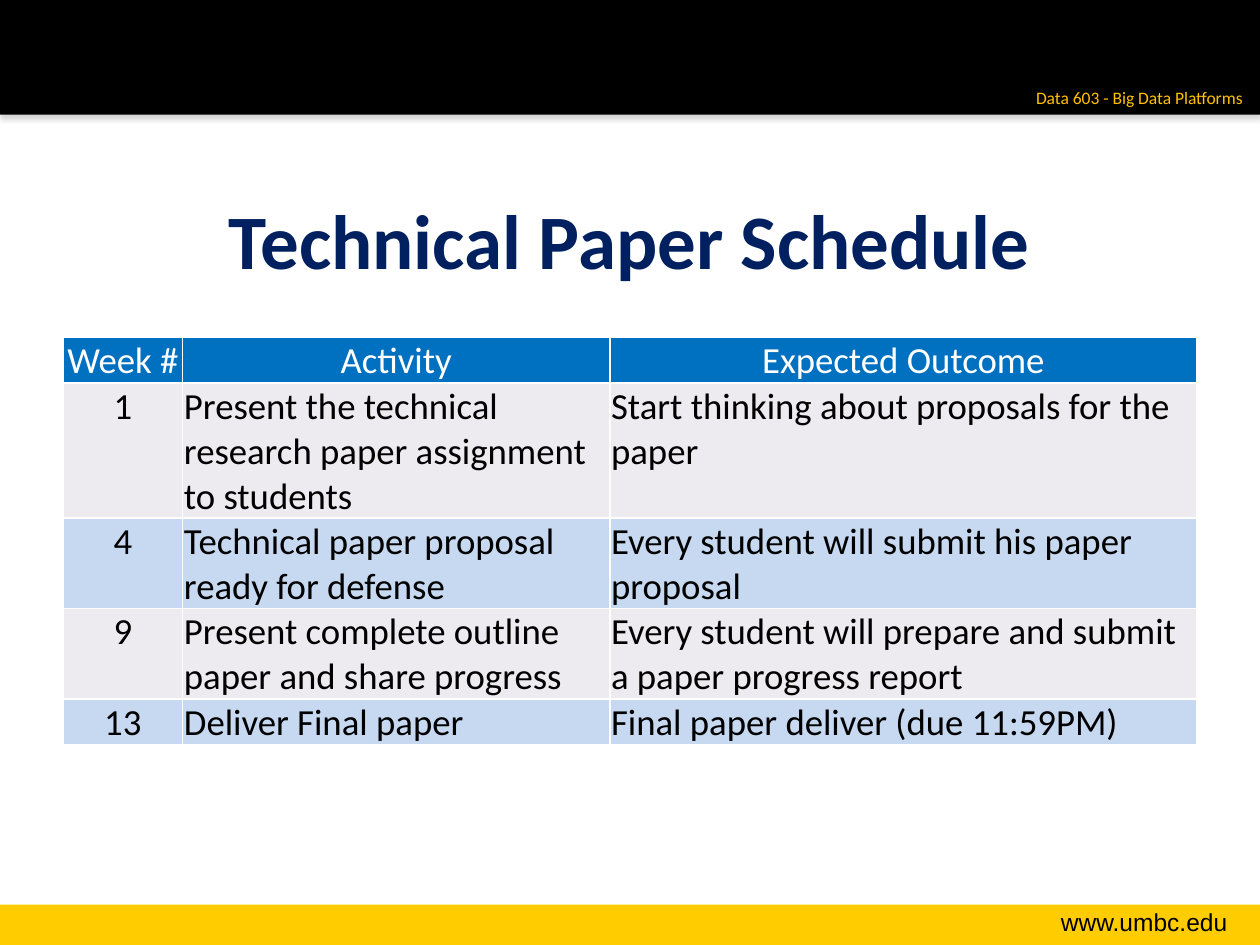
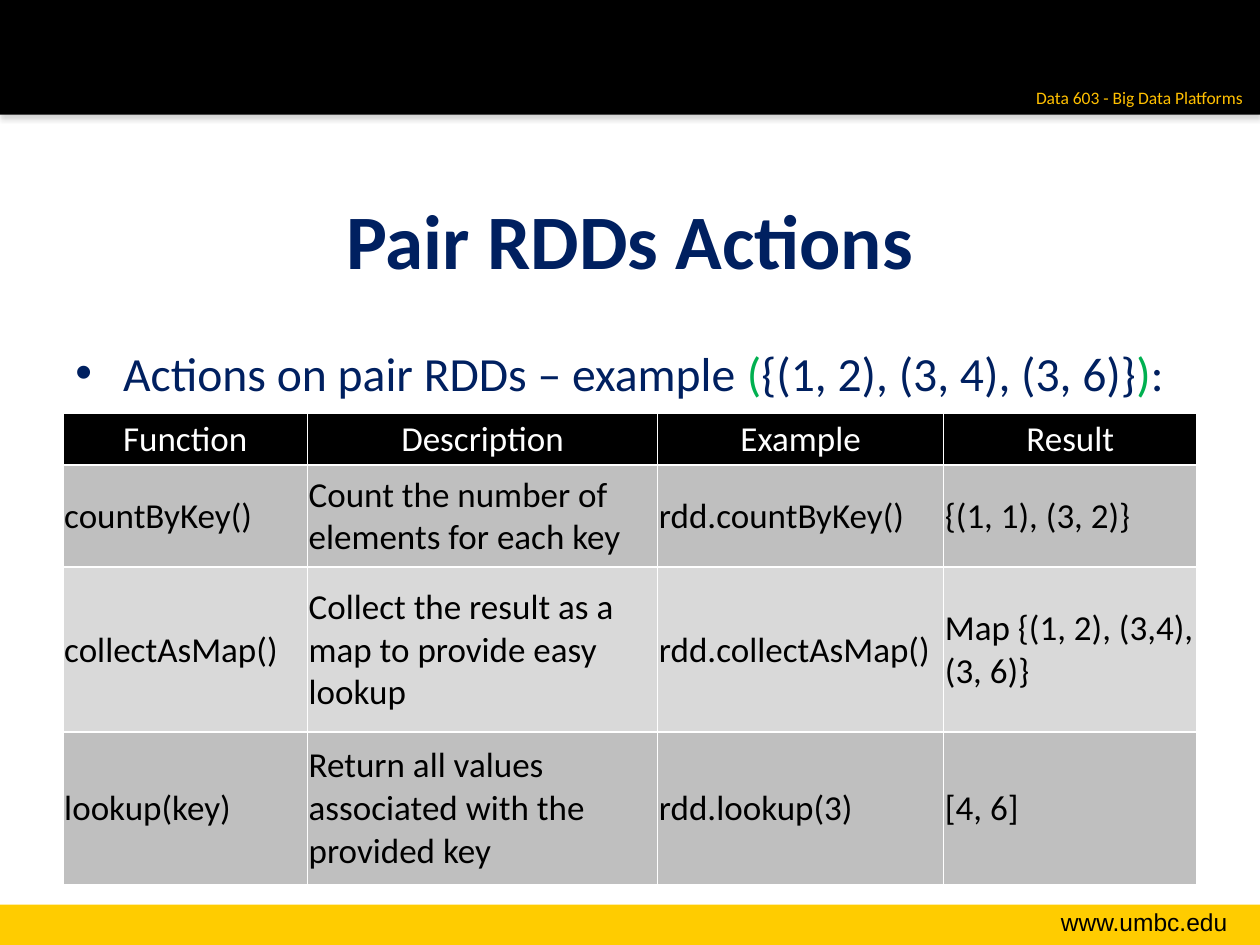
import pptx
import pptx.chart.data
import pptx.dml.color
import pptx.enum.shapes
import pptx.enum.text
import pptx.oxml
import pptx.oxml.ns
import pptx.util
from pptx.util import Inches

COLOURS = {
    "black": "000000",
    "white": "FFFFFF",
    "gold": "FFCC00",
    "amber": "FFC000",
    "navy": "002060",
    "green": "00B050",
    "blue": "0070C0",
    "lilac": "EDEAF0",
    "sky": "C6D9F1",
    "grey": "BFBFBF",
    "silver": "D9D9D9",
}
FONT = "Calibri"
MARGIN = 0.5
CONTENT_WIDTH = 9
TITLE_ONLY = 5
ALIGN = pptx.enum.text.PP_ALIGN
ANCHOR = pptx.enum.text.MSO_ANCHOR
AUTO_SIZE = pptx.enum.text.MSO_AUTO_SIZE

SCHEDULE = [
    ("Week #", "Activity", "Expected Outcome"),
    ("1", "Present the technical research paper assignment to students",
     "Start thinking about proposals for the paper"),
    ("4", "Technical paper proposal ready for defense",
     "Every student will submit his paper proposal"),
    ("9", "Present complete outline paper and share progress",
     "Every student will prepare and submit a paper progress report"),
    ("13", "Deliver Final paper", "Final paper deliver (due 11:59PM)"),
]
ACTIONS = [
    ("Function", "Description", "Example", "Result"),
    ("countByKey()", "Count the number of elements for each key",
     "rdd.countByKey()", "{(1, 1), (3, 2)}"),
    ("collectAsMap()", "Collect the result as a map to provide easy lookup",
     "rdd.collectAsMap()", "Map {(1, 2), (3,4), (3, 6)}"),
    ("lookup(key)", "Return all values associated with the provided key",
     "rdd.lookup(3)", "[4, 6]"),
]


def rgb(colour):
    return pptx.dml.color.RGBColor.from_string(COLOURS[colour])


def drawing_xml(tag, content="", attributes=""):
    """Make an element of the DrawingML namespace."""
    namespace = pptx.oxml.ns.nsdecls("a")
    return pptx.oxml.parse_xml(f"<a:{tag} {namespace} {attributes}>{content}</a:{tag}>")


def add_span(para, text, size, colour, font=FONT, bold=False):
    span = para.add_run()
    span.text = text
    span.font.name = font
    span.font.size = pptx.util.Pt(size)
    span.font.bold = bold
    span.font.color.rgb = rgb(colour)


def add_band(page, top, height, colour):
    band = page.shapes.add_shape(
        pptx.enum.shapes.MSO_SHAPE.RECTANGLE,
        0, Inches(top), Inches(10), Inches(height))
    band.shadow.inherit = False
    band.fill.solid()
    band.fill.fore_color.rgb = rgb(colour)
    band.line.fill.background()
    return band


def add_soft_shadow(shape):
    colour = '<a:srgbClr val="808080"><a:alpha val="35000"/></a:srgbClr>'
    shadow = (f'<a:outerShdw blurRad="{pptx.util.Pt(3.1)}" dist="{pptx.util.Pt(1.8)}" '
              f'dir="5400000" rotWithShape="0">{colour}</a:outerShdw>')
    effects = shape.element.spPr.find(pptx.oxml.ns.qn("a:effectLst"))
    effects.getparent().replace(effects, drawing_xml("effectLst", shadow))


def add_text_box(page, left, top, width, height):
    box = page.shapes.add_textbox(
        Inches(left), Inches(top), Inches(width), Inches(height))
    box.text_frame.word_wrap = True
    return box.text_frame


def add_label(page, place, text, size, colour, font, wrap):
    """Add a right-aligned line of text on one of the bands."""
    frame = add_text_box(page, *place)
    frame.word_wrap = wrap
    frame.auto_size = AUTO_SIZE.SHAPE_TO_FIT_TEXT
    para = frame.paragraphs[0]
    para.alignment = ALIGN.RIGHT
    add_span(para, text, size, colour, font)


def add_page(deck, title):
    """Add a slide with the shared bands, labels and title."""
    page = deck.slides.add_slide(deck.slide_layouts[TITLE_ONLY])
    add_band(page, 7.18, 0.32, "gold")
    add_soft_shadow(add_band(page, 0, 0.91, "black"))
    add_label(page, (7.85, 7.15, 1.99, 0.34), "www.umbc.edu",
              14, "black", "Arial", wrap=True)
    add_label(page, (8.09, 0.64, 1.87, 0.27), "Data 603 - Big Data Platforms",
              10, "amber", FONT, wrap=False)

    heading = page.shapes.title
    heading.left, heading.top = Inches(MARGIN), Inches(1.27)
    heading.width, heading.height = Inches(CONTENT_WIDTH), Inches(1.25)
    heading.text_frame.vertical_anchor = ANCHOR.MIDDLE
    para = heading.text_frame.paragraphs[0]
    para.alignment = ALIGN.CENTER
    add_span(para, title, 44, "navy", bold=True)
    return page


def add_bullet(page, top, height, size, spans):
    frame = add_text_box(page, MARGIN, top, CONTENT_WIDTH, height)
    para = frame.paragraphs[0]
    properties = para._p.get_or_add_pPr()
    indent = Inches(0.38)
    properties.set("marL", str(indent))
    properties.set("indent", str(-indent))
    bullet_colour = f'<a:srgbClr val="{COLOURS["navy"]}"/>'
    properties.append(drawing_xml("buClr", bullet_colour))
    properties.append(drawing_xml("buFont", attributes='typeface="Arial"'))
    properties.append(drawing_xml("buChar", attributes='char="•"'))
    for text, colour in spans:
        add_span(para, text, size, colour)


def add_borders(cell):
    line = f'<a:solidFill><a:srgbClr val="{COLOURS["white"]}"/></a:solidFill>'
    properties = cell._tc.get_or_add_tcPr()
    for side in ("lnL", "lnR", "lnT", "lnB"):
        properties.append(drawing_xml(side, line, f'w="{pptx.util.Pt(1)}"'))


def format_cell(cell, text, size, colour, fill, align, anchor):
    add_borders(cell)
    cell.fill.solid()
    cell.fill.fore_color.rgb = rgb(fill)
    cell.margin_left = cell.margin_right = cell.margin_top = Inches(0.01)
    cell.margin_bottom = 0
    cell.vertical_anchor = anchor
    para = cell.text_frame.paragraphs[0]
    para.alignment = align
    add_span(para, text, size, colour)


def add_grid(page, top, rows, widths, heights, size, head_fill, body_fills,
             head_anchor, body_anchor, centred_columns=()):
    """Add a table with a header row and alternating body fills."""
    grid = page.shapes.add_table(
        len(rows), len(widths), Inches(MARGIN), Inches(top),
        Inches(CONTENT_WIDTH), Inches(sum(heights))).table
    grid.horz_banding = False
    for column, width in zip(grid.columns, widths):
        column.width = Inches(width)
    for row, height in zip(grid.rows, heights):
        row.height = Inches(height)
    for r, texts in enumerate(rows):
        is_head = r == 0
        fill = head_fill if is_head else body_fills[(r - 1) % len(body_fills)]
        colour = "white" if is_head else "black"
        anchor = head_anchor if is_head else body_anchor
        for c, text in enumerate(texts):
            centred = is_head or c in centred_columns
            align = ALIGN.CENTER if centred else ALIGN.LEFT
            format_cell(grid.cell(r, c), text, size, colour, fill, align, anchor)


def add_schedule_page(deck):
    page = add_page(deck, "Technical Paper Schedule")
    add_grid(page, 2.68, SCHEDULE,
             widths=(0.95, 3.39, 4.66), heights=(0.36, 1.07, 0.72, 0.72, 0.36),
             size=21, head_fill="blue", body_fills=("lilac", "sky"),
             head_anchor=ANCHOR.BOTTOM, body_anchor=ANCHOR.TOP,
             centred_columns=(0,))


def add_actions_page(deck):
    page = add_page(deck, "Pair RDDs Actions")
    add_bullet(page, 2.68, 0.79, 27.2, [
        ("Actions on pair RDDs – example ", "navy"),
        ("(", "green"),
        ("{(1, 2), (3, 4), (3, 6)}", "navy"),
        (")", "green"),
        (":", "navy"),
    ])
    add_grid(page, 3.28, ACTIONS,
             widths=(1.94, 2.78, 2.27, 2.01), heights=(0.41, 0.81, 1.31, 1.21),
             size=20, head_fill="black", body_fills=("grey", "silver"),
             head_anchor=ANCHOR.MIDDLE, body_anchor=ANCHOR.MIDDLE)


def main():
    deck = pptx.Presentation()
    deck.slide_width, deck.slide_height = Inches(10), Inches(7.5)
    add_schedule_page(deck)
    add_actions_page(deck)
    deck.save("out.pptx")


if __name__ == "__main__":
    main()
